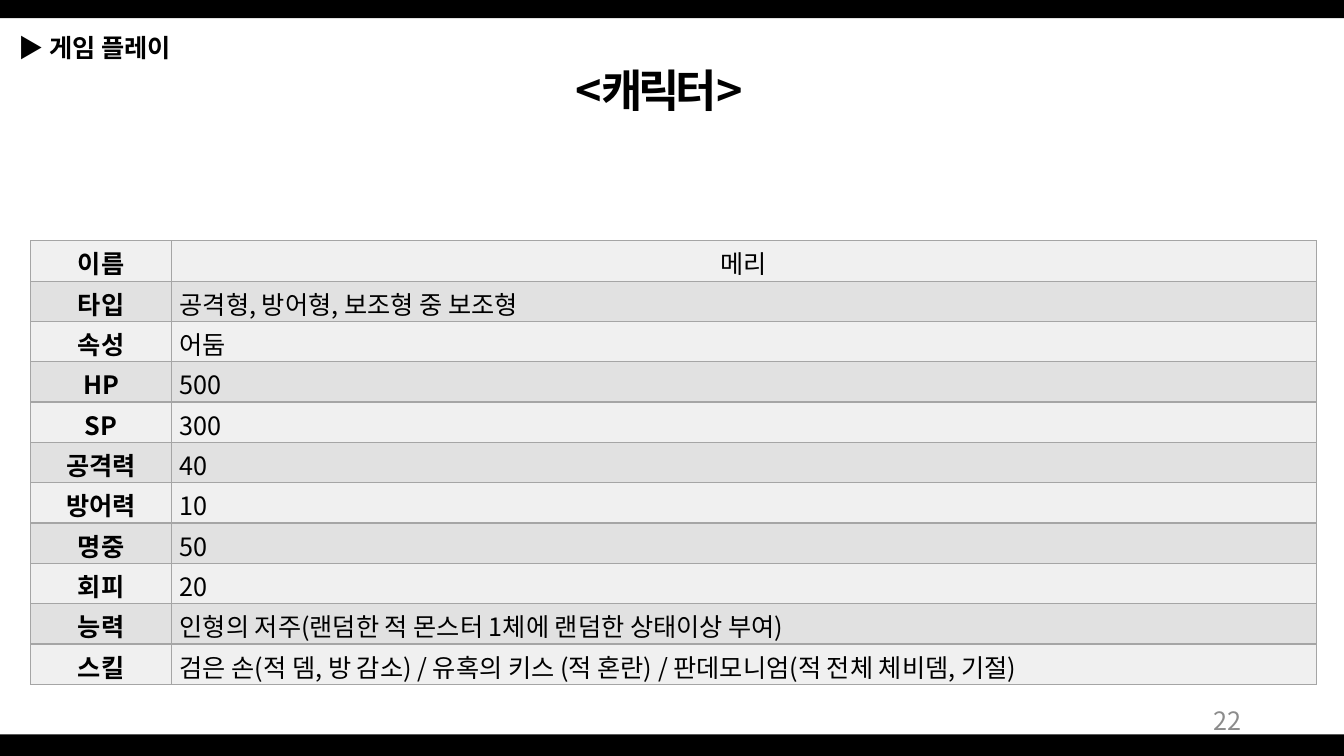
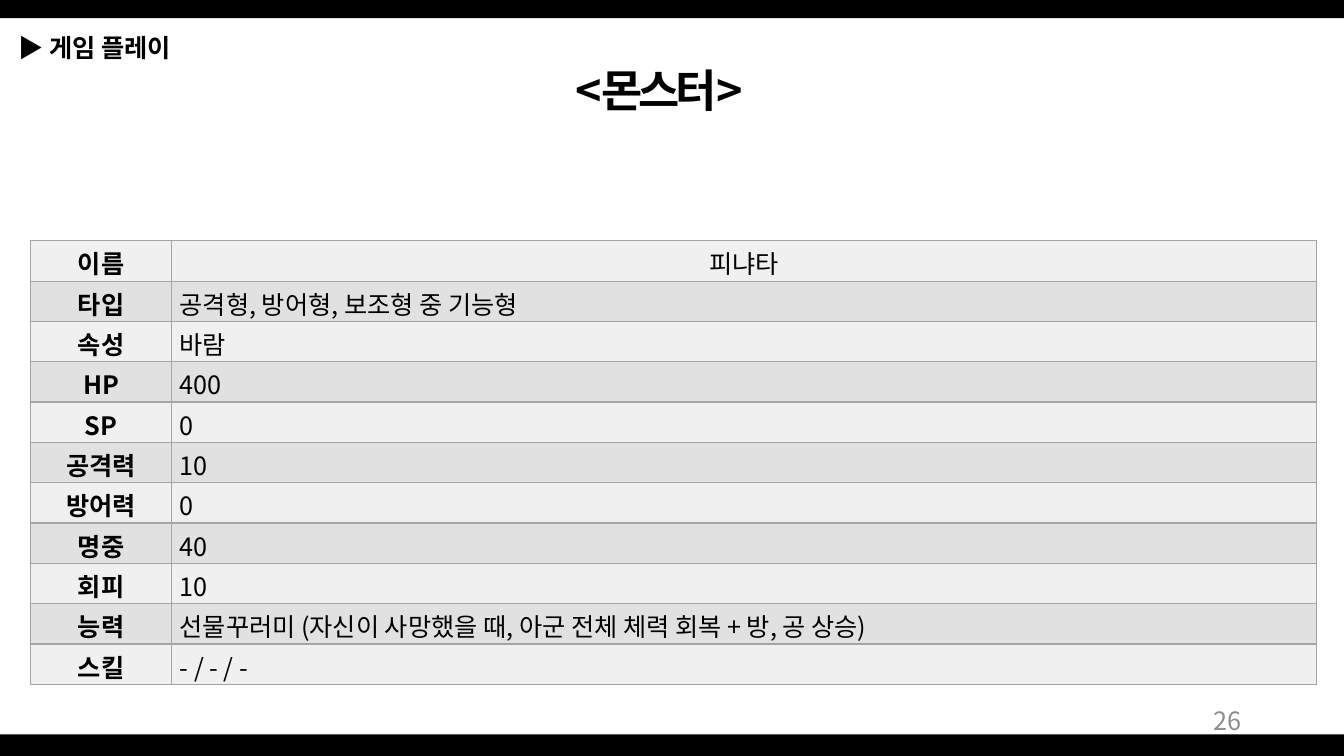
import lxml.etree
import pptx
import pptx.dml.color
import pptx.enum.shapes
import pptx.enum.text
import pptx.oxml.ns
import pptx.util

Pt = pptx.util.Pt
ALIGN = pptx.enum.text.PP_ALIGN
MIDDLE = pptx.enum.text.MSO_ANCHOR.MIDDLE
qn = pptx.oxml.ns.qn

FONT = "Noto Sans CJK KR"
COLORS = {
    "band": "000000",
    "text": "000000",
    "number": "8C8C8C",
    "border": "A5A5A5",
    "odd_row": "F0F0F0",
    "even_row": "E1E1E1",
}
WIDTH, HEIGHT = 960, 540
BANDS = [(524.5, 15.5), (0, 13)]  # top, height
COLUMN_WIDTHS = [100.4, 818]
ROW_HEIGHT = 28.8
LABELS = ["이름", "타입", "속성", "HP", "SP", "공격력",
          "방어력", "명중", "회피", "능력", "스킬"]
SHEETS = [
    {
        "title": "<캐릭터>",
        "number": "22",
        "values": [
            "메리", "공격형, 방어형, 보조형 중 보조형", "어둠",
            "500", "300", "40", "10", "50", "20",
            "인형의 저주(랜덤한 적 몬스터 1체에 랜덤한 상태이상 부여)",
            "검은 손(적 뎀, 방 감소) / 유혹의 키스 (적 혼란) / "
            "판데모니엄(적 전체 체비뎀, 기절)",
        ],
    },
    {
        "title": "<몬스터>",
        "number": "26",
        "values": [
            "피냐타", "공격형, 방어형, 보조형 중 기능형", "바람",
            "400", "0", "10", "0", "40", "10",
            "선물꾸러미 (자신이 사망했을 때, 아군 전체 체력 회복 + 방, 공 상승)",
            "- / - / -",
        ],
    },
]


def rgb(name):
    return pptx.dml.color.RGBColor.from_string(COLORS[name])


def write(frame, text, size=18, color="text", bold=False, align=ALIGN.LEFT, spacing=0):
    """Add a formatted run to the first paragraph; spacing is between letters, in points."""
    frame.word_wrap = True
    para = frame.paragraphs[0]
    para.alignment = align
    span = para.add_run()
    span.text = text
    span.font.name = FONT
    span.font.size = Pt(size)
    span.font.bold = bold
    span.font.color.rgb = rgb(color)
    properties = span._r.get_or_add_rPr()
    properties.set("spc", str(spacing * 100))
    lxml.etree.SubElement(properties, qn("a:ea"), typeface=FONT)


deck = pptx.Presentation()
deck.slide_width, deck.slide_height = Pt(WIDTH), Pt(HEIGHT)
title_only = deck.slide_layouts[5]

for sheet in SHEETS:
    page = deck.slides.add_slide(title_only)

    for top, height in BANDS:
        band = page.shapes.add_shape(pptx.enum.shapes.MSO_SHAPE.RECTANGLE,
                                     Pt(0), Pt(top), Pt(WIDTH), Pt(height))
        band.shadow.inherit = False
        band.fill.solid()
        band.fill.fore_color.rgb = rgb("band")
        band.line.fill.background()

    title = page.shapes.title
    title.left, title.top, title.width, title.height = Pt(363.6), Pt(41), Pt(214.6), Pt(46)
    title.text_frame.auto_size = pptx.enum.text.MSO_AUTO_SIZE.NONE
    title.text_frame.vertical_anchor = MIDDLE
    write(title.text_frame, sheet["title"], size=32, bold=True,
          align=ALIGN.CENTER, spacing=-3)

    table = page.shapes.add_table(len(LABELS), len(COLUMN_WIDTHS), Pt(22), Pt(172),
                                  Pt(sum(COLUMN_WIDTHS)),
                                  Pt(ROW_HEIGHT * len(LABELS))).table
    table.first_row = table.horz_banding = False
    for column, width in zip(table.columns, COLUMN_WIDTHS):
        column.width = Pt(width)
    for row_index, texts in enumerate(zip(LABELS, sheet["values"])):
        table.rows[row_index].height = Pt(ROW_HEIGHT)
        for column_index, text in enumerate(texts):
            cell = table.cell(row_index, column_index)
            cell.margin_left = cell.margin_right = Pt(6)
            cell.margin_top, cell.margin_bottom = Pt(2.7), Pt(0)
            cell.vertical_anchor = MIDDLE
            for side in ("a:lnL", "a:lnR", "a:lnT", "a:lnB"):
                border = lxml.etree.SubElement(cell._tc.get_or_add_tcPr(), qn(side),
                                               w=str(Pt(1)))
                fill = lxml.etree.SubElement(border, qn("a:solidFill"))
                lxml.etree.SubElement(fill, qn("a:srgbClr"), val=COLORS["border"])
            cell.fill.solid()
            cell.fill.fore_color.rgb = rgb("even_row" if row_index % 2 else "odd_row")
            is_label = column_index == 0
            centred = is_label or row_index == 0
            write(cell.text_frame, text, bold=is_label,
                  align=ALIGN.CENTER if centred else ALIGN.LEFT)

    number_box = page.shapes.add_textbox(Pt(678), Pt(500.4), Pt(216), Pt(28.8))
    number_box.text_frame.vertical_anchor = MIDDLE
    write(number_box.text_frame, sheet["number"], color="number", align=ALIGN.RIGHT)

    section_box = page.shapes.add_textbox(Pt(6), Pt(19.4), Pt(297), Pt(28.8))
    section_box.text_frame.vertical_anchor = MIDDLE
    write(section_box.text_frame, "▶ ")
    write(section_box.text_frame, "게임 플레이", bold=True)

deck.save("out.pptx")
